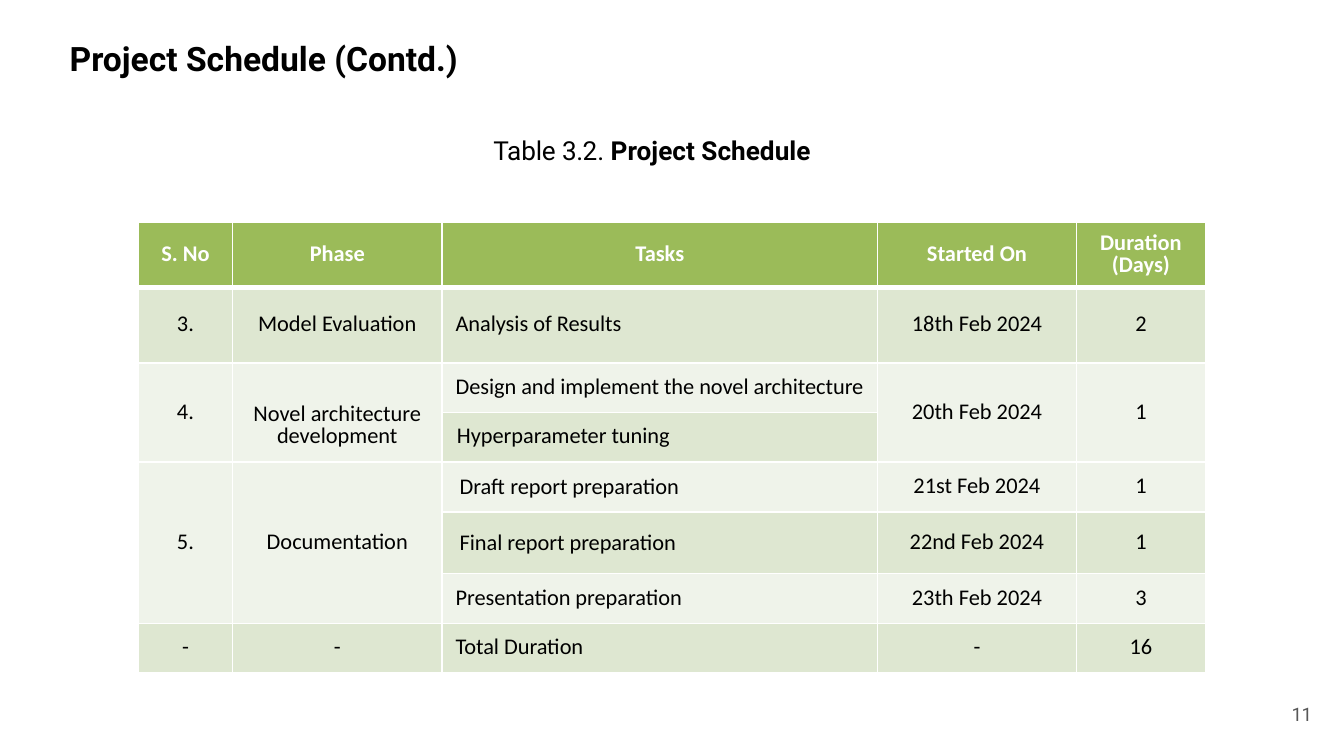
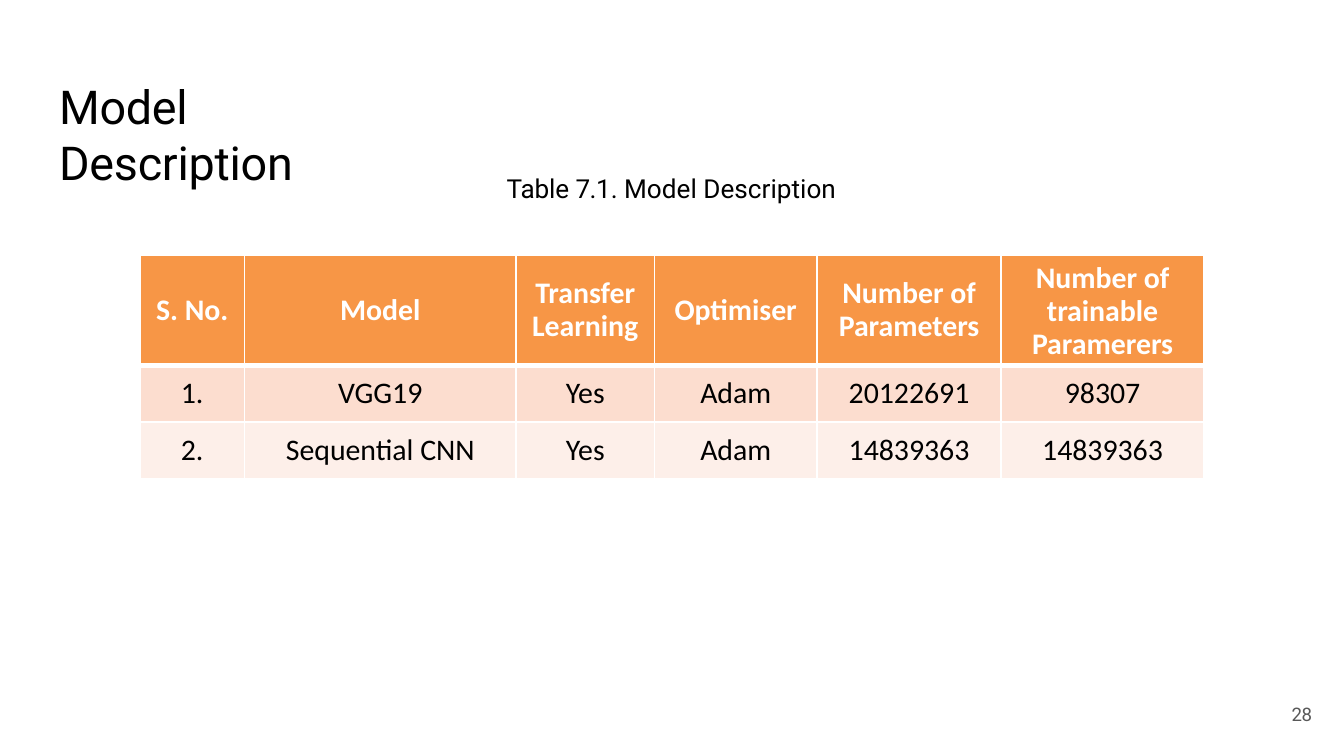
import pptx
import pptx.dml.color
import pptx.enum.text
import pptx.oxml
import pptx.oxml.ns
import pptx.util

Inches = pptx.util.Inches
Pt = pptx.util.Pt
RGB = pptx.dml.color.RGBColor
ALIGN = pptx.enum.text.PP_ALIGN
MIDDLE = pptx.enum.text.MSO_ANCHOR.MIDDLE

SLIDE_WIDTH = Inches(10)
SLIDE_HEIGHT = SLIDE_WIDTH * 9 // 16

BLACK = RGB(0x00, 0x00, 0x00)
WHITE = RGB(0xFF, 0xFF, 0xFF)
GREY = RGB(0x58, 0x58, 0x58)
# Header fill, odd rows, even rows
GREEN = (RGB(0x9B, 0xBB, 0x59), RGB(0xDE, 0xE7, 0xD1), RGB(0xEF, 0xF3, 0xEA))
ORANGE = (RGB(0xF7, 0x96, 0x46), RGB(0xFC, 0xDD, 0xCF), RGB(0xFD, 0xEF, 0xE9))

HEADING_FONT = "Roboto"
TABLE_FONT = "Calibri"

SCHEDULE = [
    ["S. No", "Phase", "Tasks", "Started On", "Duration\n(Days)"],
    ["3.", "Model Evaluation", "Analysis of Results", "18th Feb 2024", "2"],
    ["4.", "Novel architecture development",
     "Design and implement the novel architecture", "20th Feb 2024", "1"],
    [None, None, "Hyperparameter tuning", None, None],
    ["5.", "Documentation", "Draft report preparation", "21st Feb 2024", "1"],
    [None, None, "Final report preparation", "22nd Feb 2024", "1"],
    [None, None, "Presentation preparation", "23th Feb 2024", "3"],
    ["-", "-", "Total Duration", "-", "16"],
]
TASKS_COL = 2
REPORT_MARGINS = {"margin_left": Inches(0.13), "margin_top": Inches(0.07)}
SCHEDULE_MARGINS = {
    (2, 1): {"margin_top": Inches(0.25)},
    (3, TASKS_COL): {"margin_left": Inches(0.11)},
    (4, TASKS_COL): REPORT_MARGINS,
    (5, TASKS_COL): REPORT_MARGINS,
}

MODELS = [
    ["S. No.", "Model", "Transfer Learning", "Optimiser",
     "Number of Parameters", "Number of trainable Paramerers"],
    ["1.", "VGG19", "Yes", "Adam", "20122691", "98307"],
    ["2.", "Sequential CNN", "Yes", "Adam", "14839363", "14839363"],
]


def set_attrs(obj, values):
    for name, value in values.items():
        setattr(obj, name, value)


def add_run(p, text, size, font, color, bold=False, spacing=0):
    """Add a run; spacing is the letter spacing in points."""
    r = p.add_run()
    r.text = text
    set_attrs(r.font, {"size": Pt(size), "name": font, "bold": bold})
    r.font.color.rgb = color
    if spacing:
        r.font._element.set("spc", str(round(spacing * 100)))


def add_text(s, box, runs, size, color=BLACK, space_before=0, margins=(0, 0)):
    """Add one line of (text, bold, spacing) runs in a left-aligned box."""
    sp = s.shapes.add_textbox(*map(Inches, box))
    tf = sp.text_frame
    side, top = map(Inches, margins)
    set_attrs(tf, {"word_wrap": True, "margin_left": side, "margin_right": side,
                   "margin_top": top, "margin_bottom": 0})
    p = tf.paragraphs[0]
    p.space_before = Pt(space_before)
    for text, bold, spacing in runs:
        add_run(p, text, size, HEADING_FONT, color, bold, spacing)


def add_caption(s, x, y, number, title, bold):
    runs = [("Table ", False, -0.1), (number, False, -0.3),
            (". ", False, 0), (title, bold, 0)]
    add_text(s, (x, y, 2.69, 0.28), runs, 14,
             space_before=1.1, margins=(0, 0.01))


def add_page_number(s, number):
    add_text(s, (9.61, 5.23, 0.2, 0.18), [(number, False, -0.1)], 10, GREY)


def set_borders(cell, widths):
    """Draw white cell borders from a dict of side to width in points."""
    tcPr = cell._tc.get_or_add_tcPr()
    for side, width in widths.items():
        tcPr.append(pptx.oxml.parse_xml(
            f'<a:ln{side} {pptx.oxml.ns.nsdecls("a")} w="{Pt(width)}">'
            f'<a:solidFill><a:srgbClr val="{WHITE}"/></a:solidFill></a:ln{side}>'))


def fill_cell(cell, text, size, bold, color, align, line_spacing, spacing):
    tf = cell.text_frame
    for i, line in enumerate(text.split("\n")):
        p = tf.add_paragraph() if i else tf.paragraphs[0]
        set_attrs(p, {"alignment": align, "line_spacing": line_spacing})
        add_run(p, line, size, TABLE_FONT, color, bold, spacing)


def add_grid(s, x, y, widths, heights, rows, colors, size, line_spacing,
             left_col=None, margins=None):
    """Add a banded table; a None cell is merged into the cell above it."""
    margins = margins or {}
    table = s.shapes.add_table(
        len(rows), len(widths), Inches(x), Inches(y),
        Inches(sum(widths)), Inches(sum(heights))).table
    for col, width in zip(table.columns, widths):
        col.width = Inches(width)
    for row, height in zip(table.rows, heights):
        row.height = Inches(height)
    for i, row in enumerate(rows):
        header = i == 0
        for j, text in enumerate(row):
            cell = table.cell(i, j)
            set_borders(cell, {"L": 1, "R": 1, "T": 3 if i == 1 else 1,
                               "B": 3 if header else 1})
            cell.fill.solid()
            cell.fill.fore_color.rgb = colors[0] if header else colors[2 - i % 2]
            cell.vertical_anchor = MIDDLE
            set_attrs(cell, margins.get((i, j), {}))
            if text is None:
                continue
            left = j == left_col and not header
            fill_cell(cell, text, size, header, WHITE if header else BLACK,
                      ALIGN.LEFT if left else ALIGN.CENTER, line_spacing,
                      -0.03 if left else 0)
            last = i
            while last + 1 < len(rows) and rows[last + 1][j] is None:
                last += 1
            if last > i:
                cell.merge(table.cell(last, j))


def schedule_slide(s):
    add_page_number(s, "11")
    add_grid(s, 1.03, 1.65, [0.7, 1.56, 3.24, 1.48, 0.96],
             [0.49, 0.56, 0.37, 0.37, 0.37, 0.46, 0.37, 0.37],
             SCHEDULE, GREEN, 12, 0.8, TASKS_COL, SCHEDULE_MARGINS)
    add_caption(s, 3.67, 0.99, "3.2", "Project Schedule", True)
    add_text(s, (0.42, 0.23, 3.33, 0.4),
             [("Project Schedule (Contd.)", True, 0)], 18, margins=(0.1, 0.05))


def model_slide(s):
    add_text(s, (0.44, 0.57, 2.7, 0.44), [("Model Description", False, -0.1)],
             25, space_before=0.9, margins=(0, 0.01))
    add_page_number(s, "28")
    add_caption(s, 3.77, 1.27, "7.1", "Model Description", False)
    add_grid(s, 1.04, 1.9, [0.78, 2.02, 1.03, 1.21, 1.37, 1.51],
             [0.82, 0.42, 0.42], MODELS, ORANGE, 16, 0.9)


def main():
    prs = pptx.Presentation()
    set_attrs(prs, {"slide_width": SLIDE_WIDTH, "slide_height": SLIDE_HEIGHT})
    for build in (schedule_slide, model_slide):
        build(prs.slides.add_slide(prs.slide_layouts[6]))
    prs.save("out.pptx")


if __name__ == "__main__":
    main()
